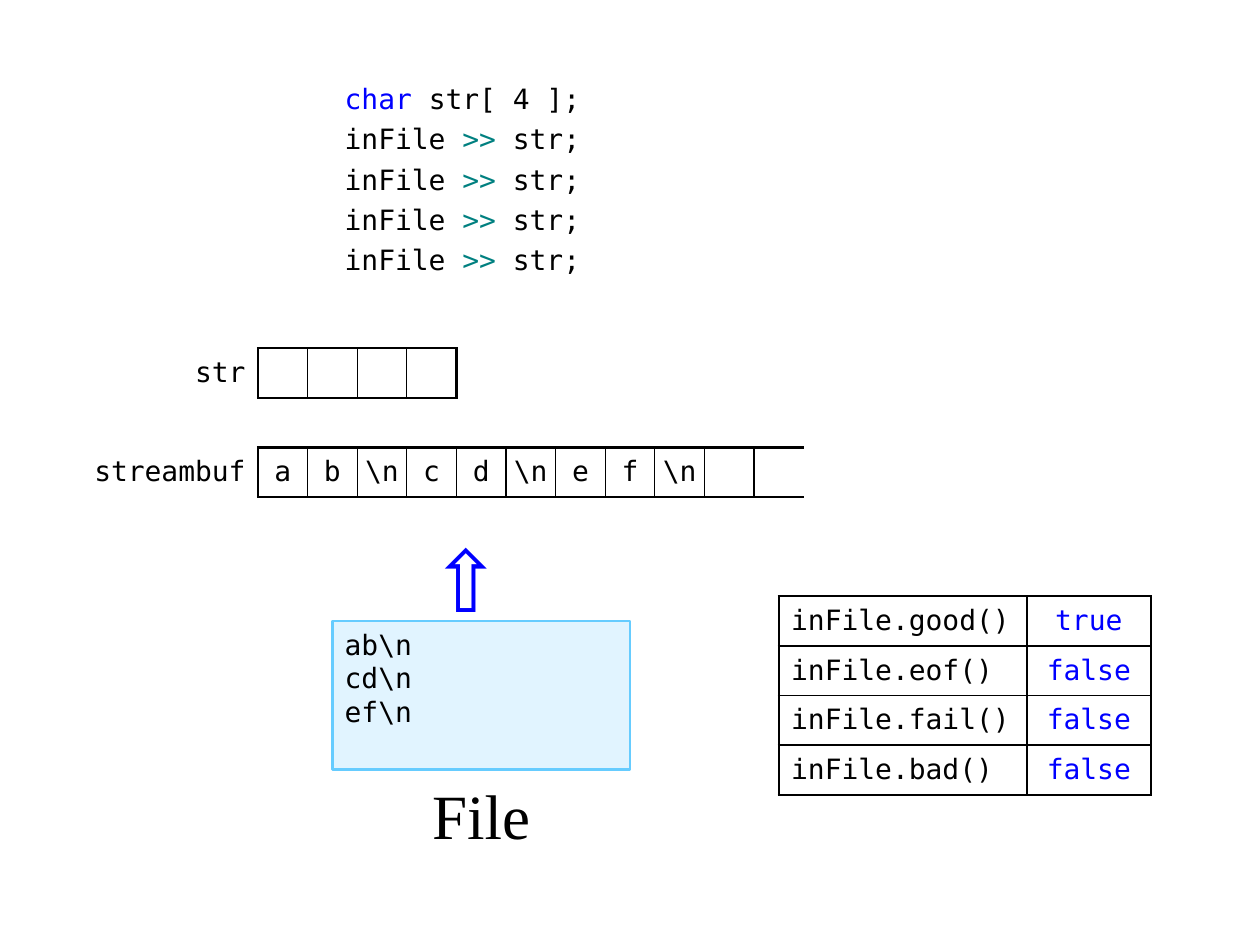
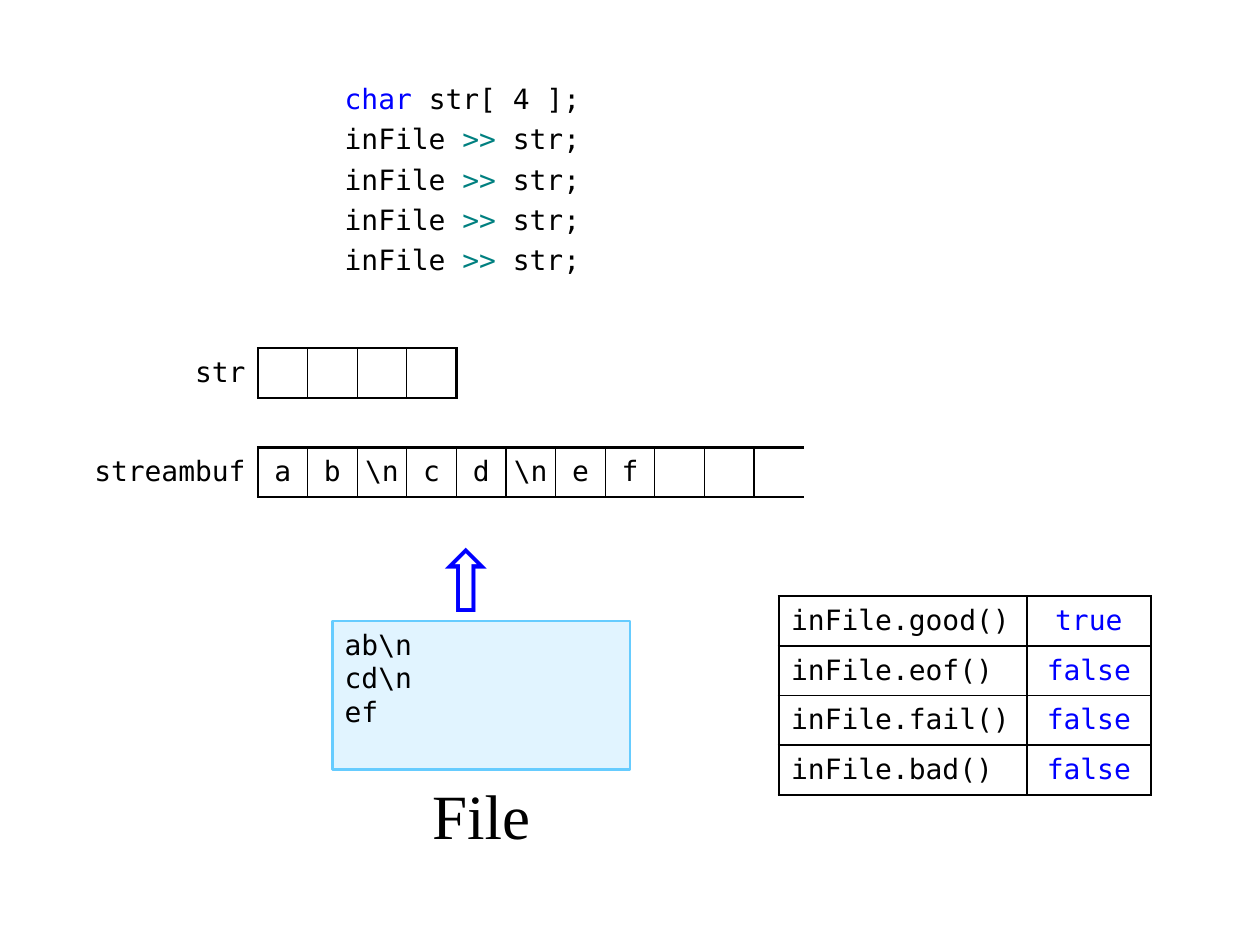
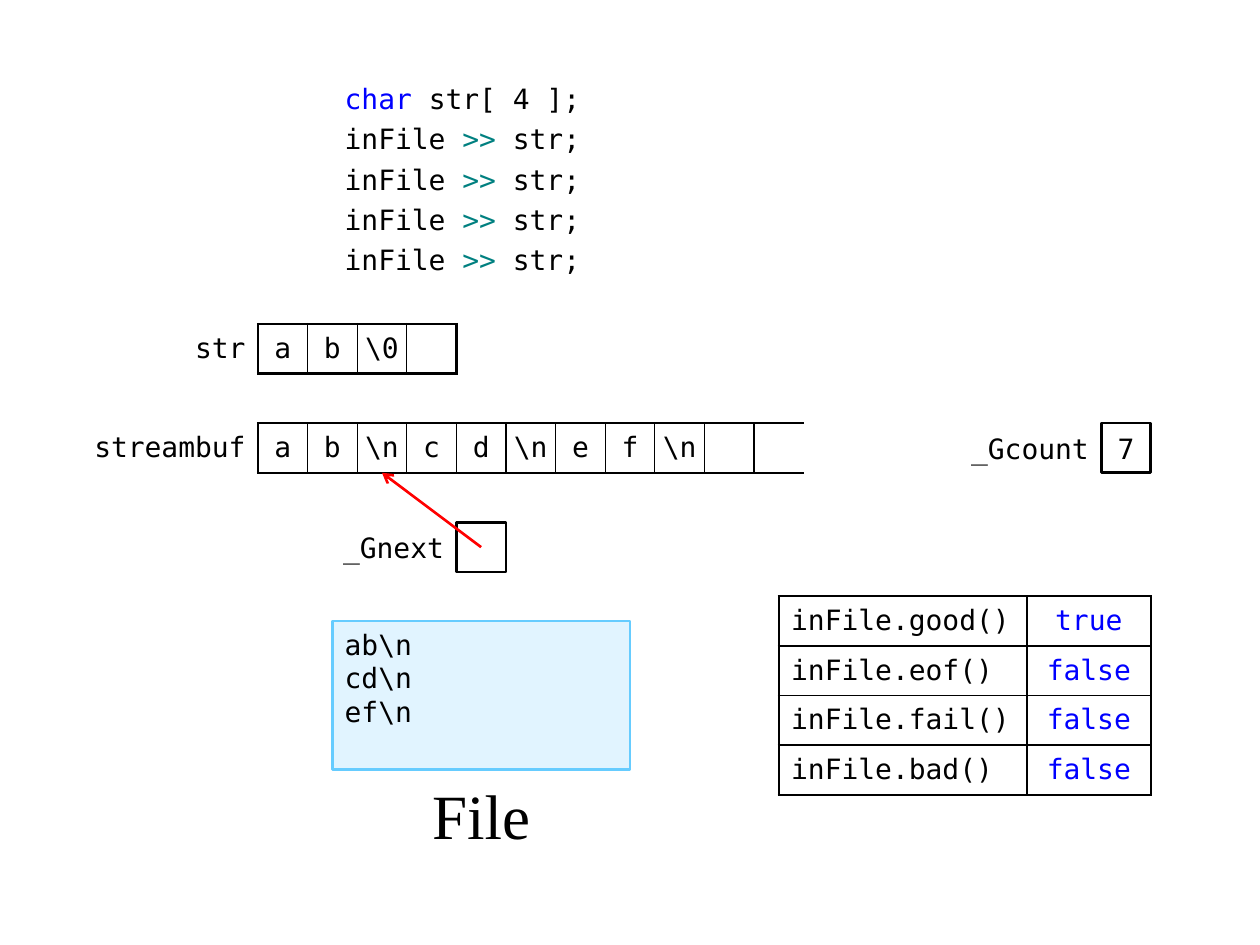
"""Builds three slides that show how a file stream fills its buffer."""
import pptx
import pptx.dml.color
import pptx.enum.shapes
import pptx.enum.text
import pptx.oxml
import pptx.oxml.ns
import pptx.util

Cm = pptx.util.Cm
Pt = pptx.util.Pt
ALIGN = pptx.enum.text.PP_ALIGN
ANCHOR = pptx.enum.text.MSO_ANCHOR
SHAPE = pptx.enum.shapes.MSO_SHAPE

COLORS = {
    "text": "000000",
    "keyword": "0000FF",
    "operator": "008080",
    "pointer": "FF0000",
    "paper": "FFFFFF",
    "file": "E1F4FF",
    "file_edge": "66CCFF",
}
MONO, SERIF, ARROW_FONT = "DejaVu Sans Mono", "Times New Roman", "Courier New"
CELL = 1
THICK, MEDIUM, THIN = 1.5, 1, 0.75

CODE = [[("char ", "keyword"), ("str[ 4 ];", "text")]] + [
    [("inFile ", "text"), (">>", "operator"), (" str;", "text")] for _ in range(4)
]
STATES = [("good", "true"), ("eof", "false"), ("fail", "false"), ("bad", "false")]
BUFFER = ["a", "b", r"\n", "c", "d", r"\n", "e", "f", r"\n", "", ""]
BUFFER_UNENDED = BUFFER[:8] + [""] * 3
FILE = [r"ab\n", r"cd\n", r"ef\n"]
FILE_UNENDED = FILE[:2] + ["ef"]


def rgb(name):
    return pptx.dml.color.RGBColor.from_string(COLORS[name])


def write(tf, lines, align=ALIGN.LEFT, size=16, font=MONO, before=0):
    for i, runs in enumerate(lines):
        p = tf.paragraphs[0] if i == 0 else tf.add_paragraph()
        p.alignment = align
        p.space_before = Pt(before)
        for text, color in runs:
            r = p.add_run()
            r.text = text
            r.font.size = Pt(size)
            r.font.name = font
            r.font.color.rgb = rgb(color)


def set_margins(target, left, top, right, bottom):
    target.margin_left, target.margin_top = Cm(left), Cm(top)
    target.margin_right, target.margin_bottom = Cm(right), Cm(bottom)


def add_text(slide, box, lines, margins=(0.25, 0.13, 0.25, 0.13),
             anchor=ANCHOR.TOP, **style):
    tf = slide.shapes.add_textbox(*map(Cm, box)).text_frame
    tf.word_wrap = True
    tf.vertical_anchor = anchor
    set_margins(tf, *margins)
    write(tf, lines, **style)


def add_rect(slide, box, fill, edge):
    sp = slide.shapes.add_shape(SHAPE.RECTANGLE, *map(Cm, box))
    sp.shadow.inherit = False
    sp.fill.solid()
    sp.fill.fore_color.rgb = rgb(fill)
    sp.line.color.rgb = rgb(edge)
    sp.line.width = Pt(THICK)
    sp.text_frame.word_wrap = True
    return sp


def set_borders(cell, **widths):
    tc_pr = cell._tc.get_or_add_tcPr()
    for side in "LRTB":
        width = widths.get(side, 0)
        ln = pptx.oxml.parse_xml(f'<a:ln{side} {pptx.oxml.ns.nsdecls("a")}/>')
        if width:
            ln.set("w", str(Pt(width)))
            fill = pptx.oxml.parse_xml(
                f'<a:solidFill {pptx.oxml.ns.nsdecls("a")}>'
                f'<a:srgbClr val="{COLORS["text"]}"/></a:solidFill>')
        else:
            fill = pptx.oxml.parse_xml(f'<a:noFill {pptx.oxml.ns.nsdecls("a")}/>')
        ln.append(fill)
        tc_pr.append(ln)


def add_table(slide, x, y, col_widths, rows):
    tb = slide.shapes.add_table(rows, len(col_widths), Cm(x), Cm(y),
                                Cm(sum(col_widths)), Cm(rows * CELL)).table
    tb.first_row = tb.horz_banding = False
    for col, width in zip(tb.columns, col_widths):
        col.width = Cm(width)
    for row in tb.rows:
        row.height = Cm(CELL)
    return tb


def fill_cell(cell, text, color, align, margins, **borders):
    set_borders(cell, **borders)
    cell.fill.background()
    cell.vertical_anchor = ANCHOR.MIDDLE
    set_margins(cell, *margins)
    if text:
        write(cell.text_frame, [[(text, color)]], align)


def add_array(slide, x, y, label, label_width, values, open_end=False):
    """Draws a labelled row of memory cells whose label starts at x."""
    tb = add_table(slide, x, y, [label_width] + [CELL] * len(values), 1)
    fill_cell(tb.cell(0, 0), label, "text", ALIGN.RIGHT, (0, 0, 0.25, 0), R=THICK)
    last = len(values)
    for i, value in enumerate(values, 1):
        end = 0 if open_end else THICK
        fill_cell(tb.cell(0, i), value, "text", ALIGN.CENTER, (0, 0, 0, 0),
                  L=THICK if i == 1 else THIN, R=end if i == last else THIN,
                  T=THICK, B=THICK)


def add_states(slide, x, y):
    tb = add_table(slide, x, y, [5, 2.5], len(STATES))
    for i, (name, value) in enumerate(STATES):
        edges = {"T": THICK if i == 0 else MEDIUM,
                 "B": THICK if i == len(STATES) - 1 else MEDIUM}
        margins = (0.25, 0.1, 0.25, 0.1)
        fill_cell(tb.cell(i, 0), f"inFile.{name}()", "text", ALIGN.LEFT, margins,
                  L=THICK, R=MEDIUM, **edges)
        fill_cell(tb.cell(i, 1), value, "keyword", ALIGN.CENTER, margins,
                  L=MEDIUM, R=THICK, **edges)


def add_file(slide, x, y, lines):
    """Draws the file contents with the caption centred below."""
    width, height, caption = 6, 3, 3
    sp = add_rect(slide, (x, y, width, height), "file", "file_edge")
    sp.text_frame.vertical_anchor = ANCHOR.TOP
    write(sp.text_frame, [[(line, "text")] for line in lines])
    add_text(slide, (x + (width - caption) / 2, y + height, caption, 2),
             [[("File", "text")]], align=ALIGN.CENTER, size=36, font=SERIF)


def add_variable(slide, x, y, label, label_width, value=""):
    """Draws a single labelled cell; the label starts at x."""
    add_text(slide, (x, y, label_width, CELL), [[(label, "text")]],
             (0, 0.13, 0.25, 0.13), ANCHOR.MIDDLE, align=ALIGN.RIGHT)
    sp = add_rect(slide, (x + label_width, y, CELL, CELL), "paper", "text")
    if value:
        set_margins(sp.text_frame, 0, 0, 0, 0)
        write(sp.text_frame, [[(value, "text")]], ALIGN.CENTER)


def add_pointer(slide, x1, y1, x2, y2):
    cn = slide.shapes.add_connector(pptx.enum.shapes.MSO_CONNECTOR.STRAIGHT,
                                    *map(Cm, (x1, y1, x2, y2)))
    cn.line.color.rgb = rgb("pointer")
    cn.line.width = Pt(THICK)
    ns = pptx.oxml.ns.nsdecls("a")
    cn.line._get_or_add_ln().append(
        pptx.oxml.parse_xml(f'<a:tailEnd {ns} type="arrow"/>'))
    cn._element.spPr.append(pptx.oxml.parse_xml(f"<a:effectLst {ns}/>"))


def add_stream_slide(prs, top, string, buffer, file_lines):
    """Adds the parts all slides share; top is where the str row starts."""
    slide = prs.slides.add_slide(prs.slide_layouts[6])
    add_text(slide, (6.7, 1.52, 6.5, 4.5), CODE, before=3.75)
    add_array(slide, 1.7, top + 2 * CELL, "streambuf", 3.5, buffer, open_end=True)
    add_array(slide, 3.7, top, "str", 1.5, string)
    add_file(slide, 6.7, 12.52, file_lines)
    add_states(slide, 15.7, 12.02)
    return slide


def add_loading_slide(prs, buffer, file_lines):
    slide = add_stream_slide(prs, 7.02, [""] * 4, buffer, file_lines)
    add_text(slide, (8.7, 10.02, 2, 2.5), [[("⇧", "keyword")]], (0, 0, 0, 0),
             size=66, font=ARROW_FONT)


def add_reading_slide(prs, string, buffer, file_lines, position, count):
    top = 6.53
    slide = add_stream_slide(prs, top, string, buffer, file_lines)
    buffer_y, next_y = top + 2 * CELL, top + 4 * CELL
    add_variable(slide, 19.2, buffer_y, "_Gcount", 3, count)
    add_variable(slide, 6.7, next_y, "_Gnext", 2.5)
    add_pointer(slide, 9.7, next_y + CELL / 2,
                5.2 + (position + 0.5) * CELL, buffer_y + CELL)


def main():
    prs = pptx.Presentation()
    prs.slide_width, prs.slide_height = Cm(25.4), Cm(19.05)
    add_loading_slide(prs, BUFFER, FILE)
    add_loading_slide(prs, BUFFER_UNENDED, FILE_UNENDED)
    add_reading_slide(prs, ["a", "b", r"\0", ""], BUFFER, FILE, 2, "7")
    prs.save("out.pptx")


if __name__ == "__main__":
    main()
